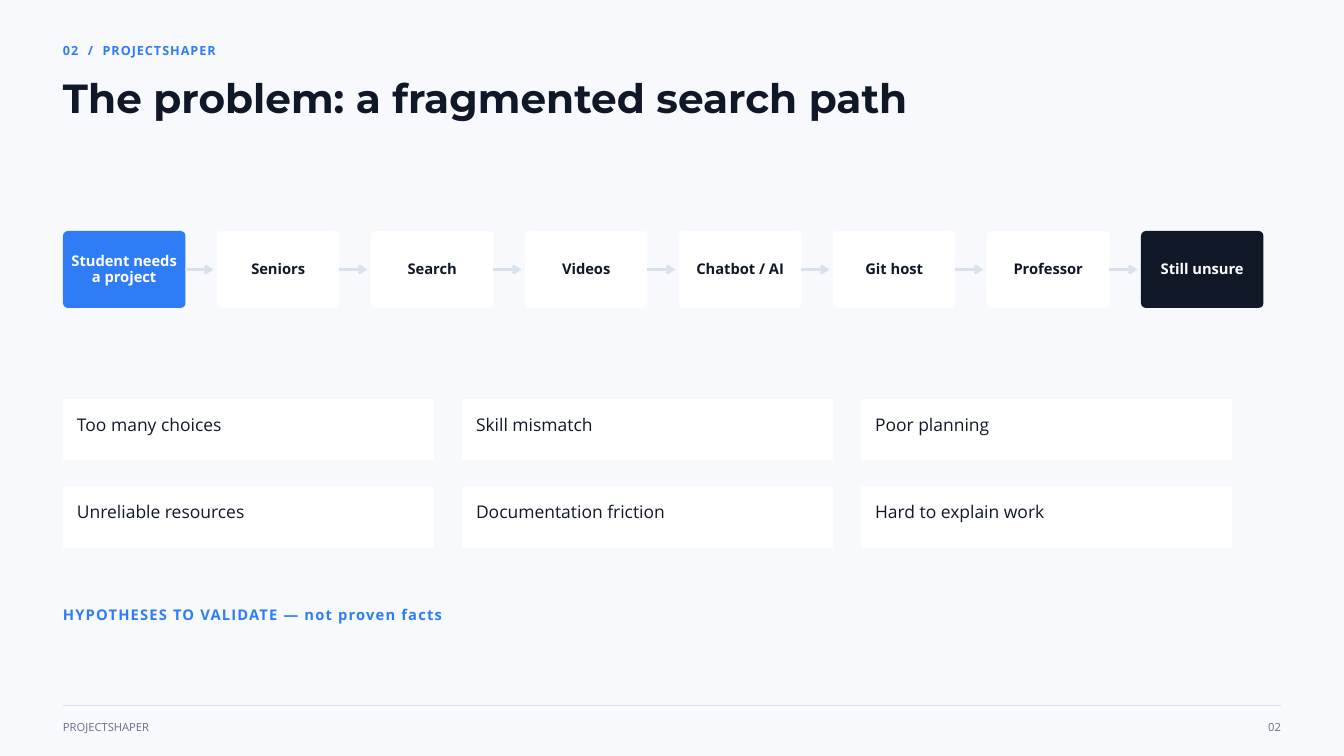
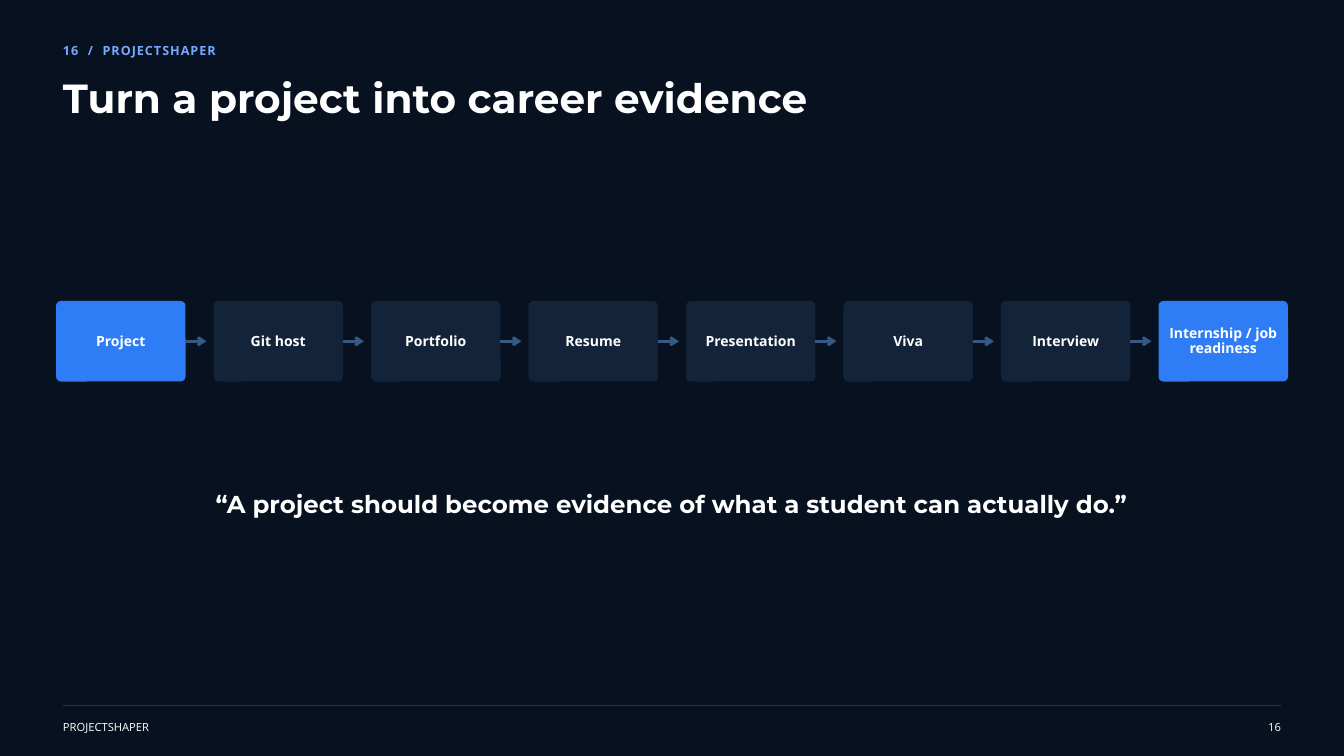
from dataclasses import dataclass

from lxml import etree
from pptx import Presentation
from pptx import util as u
from pptx.dml.color import RGBColor
from pptx.enum import shapes, text
from pptx.oxml import ns

COLUMNS, ROWS = 1920, 1080
UNIT = u.Inches(20) / COLUMNS
MARGIN = 90
RADIUS = 7
BRAND = "PROJECTSHAPER"
LEFT, CENTER, RIGHT = text.PP_ALIGN.LEFT, text.PP_ALIGN.CENTER, text.PP_ALIGN.RIGHT


@dataclass(frozen=True)
class Style:
    """Type settings; leading is a multiple of the size."""
    size: float
    leading: float
    bold: bool = True
    font: str = "Open Sans"
    tracking: float = 0


@dataclass(frozen=True)
class Palette:
    """Colours of one slide mood."""
    ground: str
    ink: str
    accent: str
    card: str
    arrow: str
    rule: str
    footer: str


class Theme:
    """Colours and type sizes of the deck."""
    blue, white, ink = "2F7DF6", "FFFFFF", "101828"
    light = Palette("F7F9FC", ink, blue, white, "D9E1EC", "D9E1EC", "667085")
    dark = Palette("07111F", white, "75AAFF", "13243A", "365A83", "26364B", white)
    kicker = Style(13.5, 1.4, tracking=1.1)
    title = Style(43.5, 1.05, font="Montserrat")
    step = Style(15.75, 1.1)
    small_step = Style(15, 1.1)
    card = Style(18.75, 1.35, bold=False)
    note = Style(15.75, 1.4, tracking=1.3)
    quote = Style(26.25, 1.05, font="Montserrat")
    footer = Style(12, 1.3, bold=False)


def grid(*cells):
    """Turn grid cells into slide lengths."""
    return [u.Emu(round(cell * UNIT)) for cell in cells]


def write(shape, words, style, color, align=LEFT, insets=(0, 0, 0, 0),
          anchor=text.MSO_ANCHOR.TOP):
    """Fill a shape with styled text, one paragraph per line."""
    frame = shape.text_frame
    frame.word_wrap = True
    frame.vertical_anchor = anchor
    (frame.margin_left, frame.margin_top,
     frame.margin_right, frame.margin_bottom) = grid(*insets)
    frame.text = words
    for para in frame.paragraphs:
        para.alignment = align
        para.line_spacing = u.Pt(style.size * style.leading)
        para.font.name = style.font
        para.font.size = u.Pt(style.size)
        para.font.bold = style.bold
        para.font.color.rgb = RGBColor.from_string(color)
        if style.tracking:
            defaults = para._p.pPr.find(ns.qn("a:defRPr"))
            defaults.set("spc", str(round(style.tracking * 100)))


def add_label(page, area, words, style, color, align=LEFT):
    """Place plain text on the grid."""
    write(page.shapes.add_textbox(*grid(*area)), words, style, color, align)


def add_panel(page, kind, area, fill):
    """Draw a flat filled shape without outline."""
    panel = page.shapes.add_shape(kind, *grid(*area))
    panel.shadow.inherit = False
    panel.fill.solid()
    panel.fill.fore_color.rgb = RGBColor.from_string(fill)
    panel.line.fill.background()
    return panel


def add_line(page, start, end, color, width, arrow=False):
    """Draw a straight line, with an arrowhead if asked."""
    line = page.shapes.add_connector(
        shapes.MSO_CONNECTOR.STRAIGHT, *grid(*start, *end))
    line.line.color.rgb = RGBColor.from_string(color)
    line.line.width = u.Pt(width)
    if arrow:
        etree.SubElement(line.line._get_or_add_ln(), ns.qn("a:tailEnd"), type="arrow")
    etree.SubElement(line._element.spPr, ns.qn("a:effectLst"))
    return line


def add_flow(page, steps, area, pitch, reach, style, palette, ends):
    """Lay out equal steps in a row, each pointing to the next."""
    left, top, width, height = area
    last = len(steps) - 1
    fills = {0: ends[0], last: ends[1]}
    for index, words in enumerate(steps):
        x = left + index * pitch
        box = add_panel(page, shapes.MSO_SHAPE.ROUNDED_RECTANGLE,
                        (x, top, width, height), fills.get(index, palette.card))
        box.adjustments[0] = RADIUS / height
        color = Theme.white if index in fills else palette.ink
        write(box, words, style, color, CENTER, (6, 6, 6, 6), text.MSO_ANCHOR.MIDDLE)
        if index < last:
            side, middle = x + width, top + height / 2
            arrow = add_line(page, (side, middle), (side + reach, middle),
                             palette.arrow, 3, arrow=True)
            arrow.begin_connect(box, 3)


def add_cards(page, rows, palette):
    """Lay out cards in rows and columns."""
    for row, labels in enumerate(rows):
        for column, words in enumerate(labels):
            area = (MARGIN + column * 570, 570 + row * 125, 530, 88)
            card = add_panel(page, shapes.MSO_SHAPE.RECTANGLE, area, palette.card)
            write(card, words, Theme.card, palette.ink, insets=(20, 17, 10, 0))


def add_page(deck, number, title, palette):
    """Start a slide with its ground, heading and footer."""
    page = deck.slides.add_slide(deck.slide_layouts[6])
    page.background.fill.solid()
    page.background.fill.fore_color.rgb = RGBColor.from_string(palette.ground)
    add_label(page, (MARGIN, 58, 650, 24), f"{number}  /  {BRAND}",
              Theme.kicker, palette.accent)
    add_label(page, (MARGIN, 113, 1500, 63), title, Theme.title, palette.ink)
    edge = COLUMNS - MARGIN
    add_line(page, (MARGIN, 1008), (edge, 1008), palette.rule, 0.75)
    add_label(page, (MARGIN, 1027, 300, 20), BRAND, Theme.footer, palette.footer)
    add_label(page, (edge - 70, 1027, 70, 20), number, Theme.footer,
              palette.footer, RIGHT)
    return page


def add_problem(deck):
    """Build the slide on the fragmented search."""
    palette = Theme.light
    page = add_page(deck, "02", "The problem: a fragmented search path", palette)
    steps = ["Student needs\na project", "Seniors", "Search", "Videos",
             "Chatbot / AI", "Git host", "Professor", "Still unsure"]
    add_flow(page, steps, (MARGIN, 330, 175, 110), 220, 40, Theme.step, palette,
             (Theme.blue, Theme.ink))
    add_cards(page, [
        ["Too many choices", "Skill mismatch", "Poor planning"],
        ["Unreliable resources", "Documentation friction", "Hard to explain work"],
    ], palette)
    add_label(page, (MARGIN, 861, 900, 29),
              "HYPOTHESES TO VALIDATE — not proven facts", Theme.note, palette.accent)


def add_evidence(deck):
    """Build the slide on career evidence."""
    palette = Theme.dark
    page = add_page(deck, "16", "Turn a project into career evidence", palette)
    steps = ["Project", "Git host", "Portfolio", "Resume", "Presentation", "Viva",
             "Interview", "Internship / job readiness"]
    add_flow(page, steps, (80, 430, 185, 115), 225, 30, Theme.small_step, palette,
             (Theme.blue, Theme.blue))
    add_label(page, (300, 704, 1320, 37),
              "“A project should become evidence of what a student can actually do.”",
              Theme.quote, palette.ink, CENTER)


def main():
    """Build and save the deck."""
    deck = Presentation()
    deck.slide_width, deck.slide_height = grid(COLUMNS, ROWS)
    add_problem(deck)
    add_evidence(deck)
    deck.save("out.pptx")


if __name__ == "__main__":
    main()
